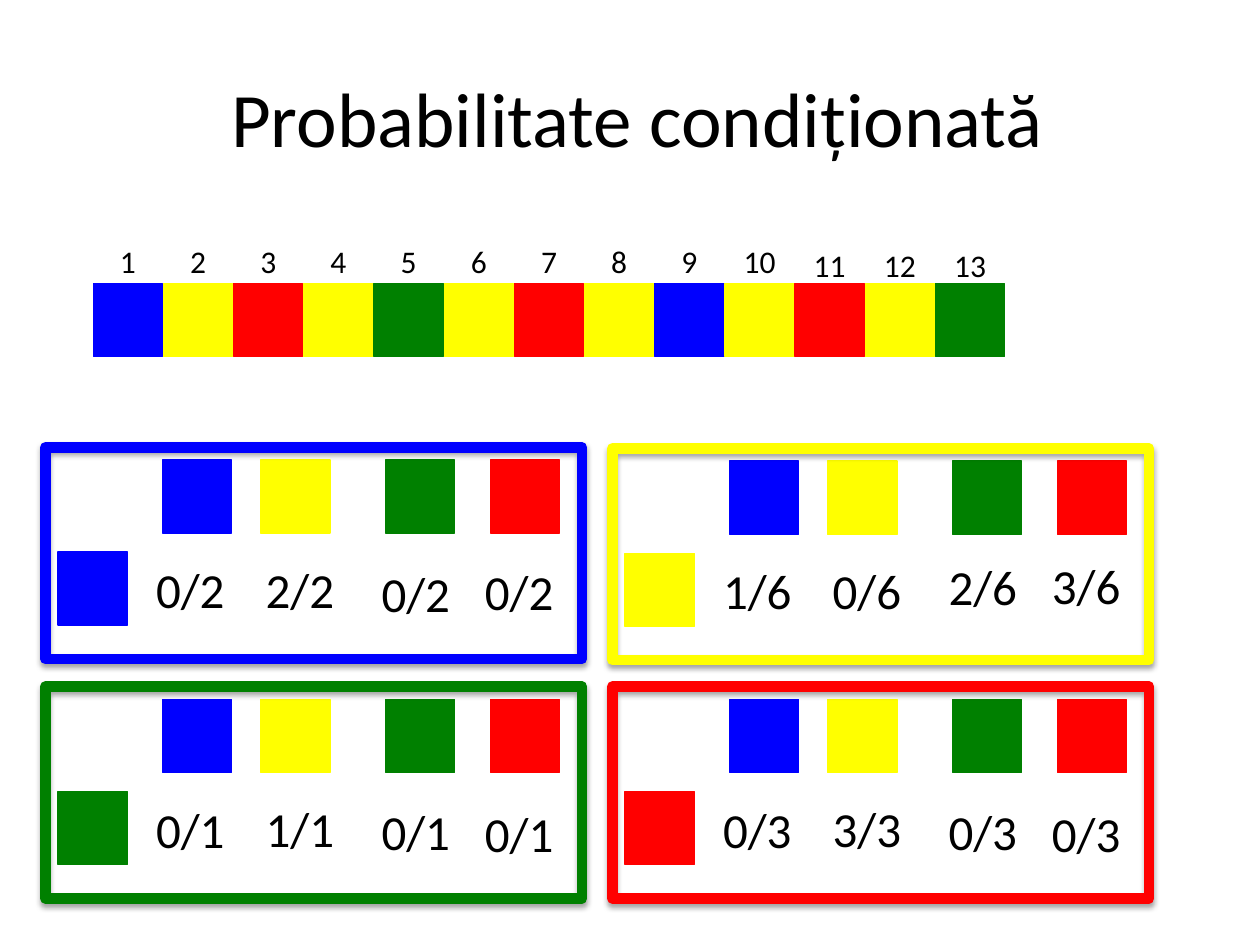
from lxml.etree import SubElement
from pptx import Presentation
from pptx.dml.color import RGBColor
from pptx.enum.shapes import MSO_SHAPE
from pptx.enum.text import MSO_ANCHOR, MSO_AUTO_SIZE, PP_ALIGN
from pptx.oxml.ns import qn
from pptx.util import Inches, Pt

deck = Presentation()
deck.slide_width, deck.slide_height = Inches(10), Inches(7.5)
page = deck.slides.add_slide(deck.slide_layouts[5])

# Grid of 100 columns by 75 rows
COLUMN, ROW = deck.slide_width / 100, deck.slide_height / 75
TILE_WIDTH, TILE_HEIGHT, TILE_STEP = 5.5, 5.8, 5.57
BLUE, YELLOW, GREEN, RED = "0000FF", "FFFF00", "008000", "FF0000"


def add_box(shapes, left, top, width, height, color, filled=True):
    """Add a tile, or an open frame when it is not filled."""
    box = shapes.add_shape(MSO_SHAPE.RECTANGLE, round(left * COLUMN), round(top * ROW),
                           round(width * COLUMN), round(height * ROW))
    box.shadow.inherit = False
    if filled:
        box.fill.solid()
        box.fill.fore_color.rgb = RGBColor.from_string(color)
    else:
        box.fill.background()
    box.line.color.rgb = RGBColor.from_string(color)
    box.line.width = Pt(0.75 if filled else 6)
    return box


def write_text(box, text, size, align):
    """Fill a text box or placeholder with one formatted line."""
    frame = box.text_frame
    frame.word_wrap = True
    frame.text = text
    para = frame.paragraphs[0]
    para.alignment = align
    for name, value in {"name": "Calibri", "size": Pt(size)}.items():
        setattr(para.runs[0].font, name, value)
    para.runs[0].font.color.rgb = RGBColor.from_string("000000")
    return frame


# Title
title = page.shapes.title
title_place = {"left": 3.6 * COLUMN, "top": 3 * ROW, "width": 94 * COLUMN, "height": 12.5 * ROW}
for name, value in title_place.items():
    setattr(title, name, round(value))
write_text(title, "Probabilitate condiționată", 44, PP_ALIGN.CENTER).vertical_anchor = MSO_ANCHOR.MIDDLE

# Numbered colour sequence
sequence = [BLUE, YELLOW, RED, YELLOW, GREEN, YELLOW, RED,
            YELLOW, BLUE, YELLOW, RED, YELLOW, GREEN]
for number, color in enumerate(sequence, start=1):
    left = 7.4 + (number - 1) * TILE_STEP
    add_box(page.shapes, left, 22.5, TILE_WIDTH, TILE_HEIGHT, color)
    label_top = 19 if number > 10 else 18.7
    label = page.shapes.add_textbox(round(left * COLUMN), round(label_top * ROW),
                                    round(TILE_WIDTH * COLUMN), round(4 * ROW))
    write_text(label, str(number), 18, PP_ALIGN.CENTER).auto_size = MSO_AUTO_SIZE.SHAPE_TO_FIT_TEXT

# Panels: left, top, given colour, fractions and their drops below the panel top
panels = [
    (3.6, 35.5, BLUE, ["0/2", "2/2", "0/2", "0/2"], [8.4, 8.4, 8.7, 8.6]),
    (48.6, 35.6, YELLOW, ["1/6", "0/6", "2/6", "3/6"], [8.4, 8.4, 8.1, 8]),
    (3.6, 54.5, GREEN, ["0/1", "1/1", "0/1", "0/1"], [8.5, 8.4, 8.6, 8.8]),
    (48.6, 54.5, RED, ["0/3", "3/3", "0/3", "0/3"], [8.5, 8.4, 8.6, 8.8]),
]
next_colors = [BLUE, YELLOW, GREEN, RED]
tile_offsets = [9.3, 17.1, 27, 35.3]
text_offsets = [7.8, 16.5, 25.7, 33.9]

for left, top, given, fractions, drops in panels:
    panel = page.shapes.add_group_shape().shapes
    add_box(panel, left + 1, top + 8.3, TILE_WIDTH, TILE_HEIGHT, given)
    for color, tile_offset, text_offset, fraction, drop in zip(
            next_colors, tile_offsets, text_offsets, fractions, drops):
        add_box(panel, left + tile_offset, top + 1, TILE_WIDTH, TILE_HEIGHT, color)
        value_box = panel.add_textbox(round((left + text_offset) * COLUMN), round((top + drop) * ROW),
                                      round(9.7 * COLUMN), round(5.7 * ROW))
        write_text(value_box, fraction, 28, PP_ALIGN.LEFT).auto_size = MSO_AUTO_SIZE.SHAPE_TO_FIT_TEXT

    # Frame with a soft shadow below
    frame_box = add_box(panel, left, top, 42.6, 16.8, given, filled=False)
    effects = frame_box.element.spPr.find(qn("a:effectLst"))
    shadow = SubElement(effects, qn("a:outerShdw"), blurRad=str(Pt(3.1)), dist=str(Pt(1.8)),
                        dir=str(90 * 60000), rotWithShape="0")
    shadow_color = SubElement(shadow, qn("a:srgbClr"), val="000000")
    SubElement(shadow_color, qn("a:alpha"), val="35000")

deck.save("out.pptx")
